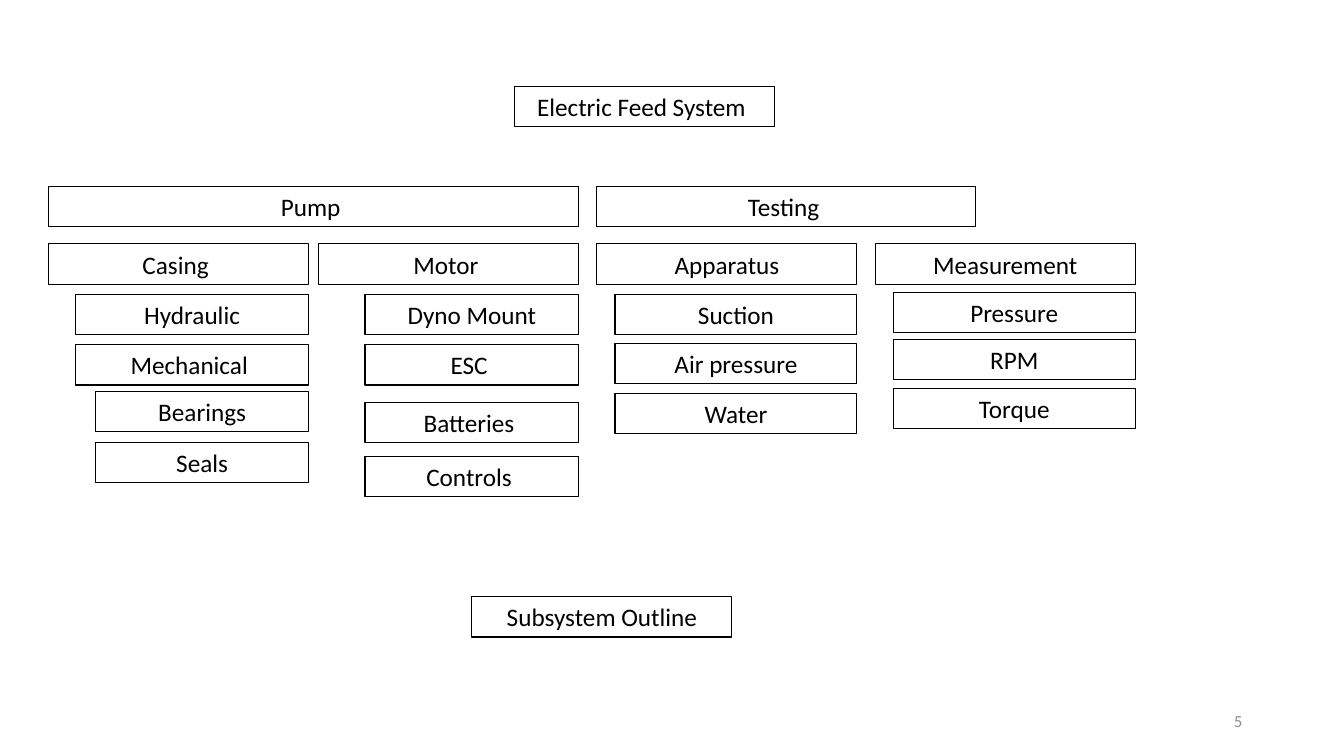
from dataclasses import dataclass

from pptx import Presentation
from pptx.dml.color import RGBColor
from pptx.enum.shapes import MSO_SHAPE
from pptx.enum.text import MSO_ANCHOR, PP_ALIGN
from pptx.util import Inches, Pt


@dataclass(frozen=True)
class Theme:
    """Colours, type sizes and shared box measures."""
    font: str = "Calibri"
    ink: RGBColor = RGBColor(0, 0, 0)
    muted: RGBColor = RGBColor(0x8C, 0x8C, 0x8C)
    label_size: int = 18
    number_size: int = 12
    line_width: float = 0.75
    box_width: float = 2.58
    box_height: float = 0.4


THEME = Theme()
GROUP_TOP = 1.85
COLUMN_TOP = 2.42

GROUPS = [("Pump ", 0.48, 5.26), ("Testing ", 5.92, 3.76)]

# Each item holds its label, its indent and its drop below the column heading.
COLUMNS = [
    ("Casing ", 0.48, [("Hydraulic", 0.27, 0.5), ("Mechanical ", 0.27, 1.0),
                       ("Bearings", 0.47, 1.46), ("Seals", 0.47, 1.97)]),
    ("Motor ", 3.16, [("Dyno Mount", 0.46, 0.5), ("ESC ", 0.46, 1.0),
                      ("Batteries ", 0.46, 1.57), ("Controls ", 0.46, 2.11)]),
    ("Apparatus", 5.92, [("Suction", 0.18, 0.5), ("Air pressure", 0.18, 0.99),
                         ("Water", 0.18, 1.48)]),
    ("Measurement", 8.68, [("Pressure", 0.18, 0.48), ("RPM", 0.18, 0.95),
                           ("Torque", 0.18, 1.43)]),
]


def write_text(box, text, size, color, align):
    """Write one styled run into the first paragraph of a box."""
    para = box.text_frame.paragraphs[0]
    para.alignment = align
    span = para.add_run()
    span.text = text
    span.font.name = THEME.font
    span.font.size = Pt(size)
    span.font.color.rgb = color


def add_label_box(page, text, left, top, width=THEME.box_width):
    """Draw one outlined box with a centred label."""
    box = page.shapes.add_shape(MSO_SHAPE.RECTANGLE, Inches(left), Inches(top),
                                Inches(width), Inches(THEME.box_height))
    box.shadow.inherit = False
    box.fill.background()
    box.line.color.rgb = THEME.ink
    box.line.width = Pt(THEME.line_width)
    box.text_frame.word_wrap = True
    box.text_frame.vertical_anchor = MSO_ANCHOR.TOP
    write_text(box, text, THEME.label_size, THEME.ink, PP_ALIGN.CENTER)


def add_column(page, heading, items, left, top):
    """Draw a subsystem heading with its indented items below."""
    add_label_box(page, heading, left, top)
    for label, indent, drop in items:
        add_label_box(page, label, left + indent, top + drop, THEME.box_width - indent)


def add_page_number(page, number, left, top, width, height):
    """Place the page number in the footer area."""
    box = page.shapes.add_textbox(Inches(left), Inches(top), Inches(width), Inches(height))
    box.text_frame.word_wrap = True
    box.text_frame.vertical_anchor = MSO_ANCHOR.MIDDLE
    write_text(box, number, THEME.number_size, THEME.muted, PP_ALIGN.RIGHT)


def build_outline_page(deck):
    """Build the subsystem outline page."""
    page = deck.slides.add_slide(deck.slide_layouts[6])
    add_label_box(page, "Electric Feed System ", 5.1, 0.86)
    for label, left, width in GROUPS:
        add_label_box(page, label, left, GROUP_TOP, width)
    for heading, left, items in COLUMNS:
        add_column(page, heading, items, left, COLUMN_TOP)
    add_label_box(page, "Subsystem Outline", 4.68, 5.92)
    add_page_number(page, "5", 9.42, 6.95, 3, 0.4)


def main():
    """Create the deck and save it."""
    deck = Presentation()
    deck.slide_width = Inches(13.33)
    deck.slide_height = Inches(7.5)
    build_outline_page(deck)
    deck.save("out.pptx")


if __name__ == "__main__":
    main()
